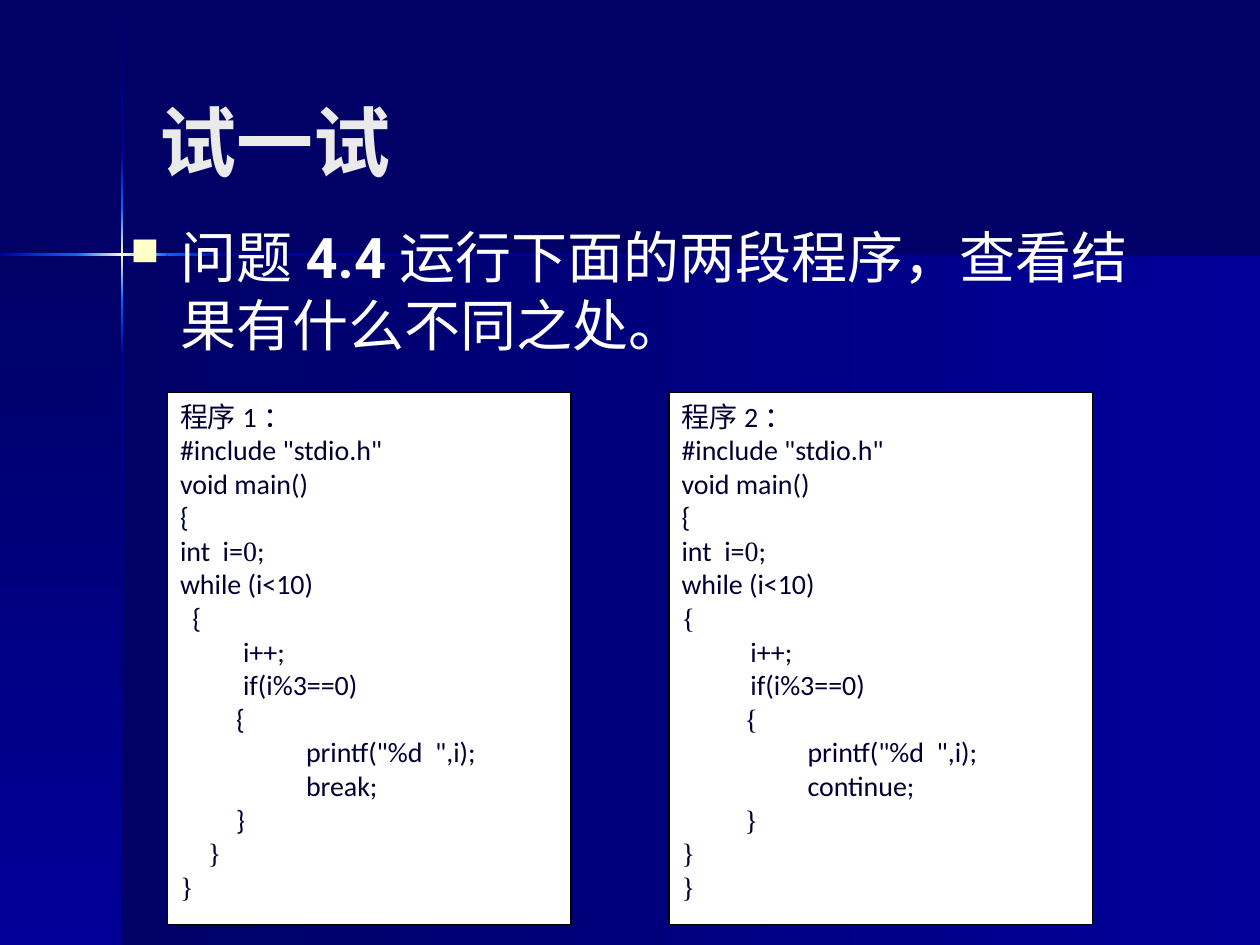
from copy import deepcopy

from lxml import etree
from pptx import Presentation, util as u
from pptx.dml.color import RGBColor
from pptx.enum import shapes, text
from pptx.oxml.ns import qn

Cm, Pt = u.Cm, u.Pt
W, H = 25.4, 19.05
C = {"night": "000066", "royal": "000099", "blue": "0066FF", "cream": "FFFFCC",
     "title": "EAEAEA", "white": "FFFFFF", "black": "000000", "code": "000033"}
SANS, SERIF = "Calibri", "Times New Roman"

# Content: a paragraph is (indent in cm, runs); a run is (text, format)
TITLE = [(0, [("试一试", {})])]
BODY = [(1, [("问题", {}), ("4.4", {"bold": True}),
             ("运行下面的两段程序，查看结果有什么不同之处。", {})])]


def code(indent, line, font=SANS):
    return indent, [(line, {"font": font})]


HEAD = [code(0, '#include "stdio.h"'), code(0, "void main()"), code(0, "{"),
        (0, [("int  i=", {}), ("0", {"font": SERIF}), (";", {})]),
        code(0, "while (i<10)")]
PRINT = code(2.54, 'printf("%d  ",i);')
PROGRAMS = [
    (3.38, 8.13, [code(0, "程序1：")] + HEAD + [
        code(0.25, "{"), code(1.27, "i++;"), code(1.27, "if(i%3==0)"),
        code(1.13, "{"), PRINT, code(2.54, "break;"), code(1.13, "}"),
        code(0.56, "}", SERIF), code(0, "}", SERIF)]),
    (13.49, 8.53, [code(0, "程序2：")] + HEAD + [
        code(0, "{", SERIF), code(1.39, "i++;"), code(1.39, "if(i%3==0)"),
        code(1.27, "{", SERIF), PRINT, code(2.54, "continue;"),
        code(1.27, "}", SERIF), code(0, "}", SERIF), code(0, "}", SERIF)]),
]

# Background: panels, then rays of light as (start, end, colours)
PANELS = [(2.46, 5.13, W - 2.46, H - 5.13, False),
          (0, 5.13, 2.46, H - 5.13, True)]
GLOW = ["blue", "cream", "blue"]
RAY_X, RAY_Y, RAY = 2.44, 5.11, 0.05
DOWN = [(0.03, 3.07, ["night", "royal"]), (7.16, H, ["royal", "night"]),
        (6.05, 7.16, ["blue", "royal"]), (3.07, 4.19, ["royal", "blue"]),
        (4.19, 6.05, GLOW)]
ACROSS = [(4.5, W, ["royal", "night"]), (0, 1.54, ["royal", "blue"]),
          (3.38, 4.5, ["blue", "royal"]), (1.53, 3.38, GLOW)]


def rgb(name):
    return RGBColor.from_string(C[name])


def add_rect(x, y, w, h):
    sp = slide.shapes.add_shape(shapes.MSO_SHAPE.RECTANGLE,
                                Cm(x), Cm(y), Cm(w), Cm(h))
    sp.shadow.inherit = False
    return sp


def add_gradient(x, y, w, h, colours, vertical):
    sp = add_rect(x, y, w, h)
    sp.line.fill.background()
    sp.fill.gradient()
    sp.fill.gradient_angle = 270 if vertical else 0
    stops = sp.fill.gradient_stops
    if len(colours) == 3:
        first = sp.element.spPr.find(".//" + qn("a:gs"))
        first.addnext(deepcopy(first))
        stops = sp.fill.gradient_stops
    for i, (stop, name) in enumerate(zip(stops, colours)):
        stop.position = i / (len(colours) - 1)
        stop.color.rgb = rgb(name)


def write(sp, paragraphs, size, color, font, bold=False, hanging=False,
          align=text.PP_ALIGN.LEFT, anchor=text.MSO_ANCHOR.TOP):
    tf = sp.text_frame
    tf.word_wrap = True
    tf.vertical_anchor = anchor
    for i, (indent, runs) in enumerate(paragraphs):
        p = tf.add_paragraph() if i else tf.paragraphs[0]
        p.alignment = align
        pPr = p._p.get_or_add_pPr()
        pPr.set("marL", str(Cm(indent)))
        pPr.set("indent", str(-Cm(indent) if hanging else 0))
        for line, fmt in runs:
            r = p.add_run()
            r.text = line
            r.font.size = Pt(size)
            r.font.name = fmt.get("font", font)
            r.font.bold = fmt.get("bold", bold)
            r.font.color.rgb = rgb(color)
    return tf


def add_bullet(p, char, color, percent):
    pPr = p._p.get_or_add_pPr()
    clr = etree.SubElement(pPr, qn("a:buClr"))
    etree.SubElement(clr, qn("a:srgbClr"), val=C[color])
    etree.SubElement(pPr, qn("a:buSzPct"), val=str(percent * 1000))
    etree.SubElement(pPr, qn("a:buChar"), char=char)


prs = Presentation()
prs.slide_width, prs.slide_height = Cm(W), Cm(H)
slide = prs.slides.add_slide(prs.slide_layouts[6])
slide.background.fill.solid()
slide.background.fill.fore_color.rgb = rgb("night")

# Background
for x, y, w, h, vertical in PANELS:
    add_gradient(x, y, w, h, ["night", "royal"], vertical)
for start, end, colours in DOWN:
    add_gradient(RAY_X, start, RAY, end - start, colours, True)
for start, end, colours in ACROSS:
    add_gradient(start, RAY_Y, end - start, RAY, colours, False)

# Title and question
sp = slide.shapes.add_textbox(Cm(2.97), Cm(0.84), Cm(20.95), Cm(3.99))
write(sp, TITLE, 44, "title", "Roboto", bold=True, anchor=text.MSO_ANCHOR.MIDDLE)
sp = slide.shapes.add_textbox(Cm(2.38), Cm(4.37), Cm(20.95), Cm(11.43))
tf = write(sp, BODY, 32, "white", "Roboto", hanging=True)
tf.paragraphs[0].space_before = Pt(6.4)
add_bullet(tf.paragraphs[0], "■", "cream", 70)

# Program listings
for x, w, lines in PROGRAMS:
    sp = add_rect(x, 7.92, w, 10.72)
    sp.fill.solid()
    sp.fill.fore_color.rgb = rgb("white")
    sp.line.color.rgb = rgb("black")
    sp.line.width = Pt(0.75)
    write(sp, lines, 16, "code", SANS, align=text.PP_ALIGN.JUSTIFY)

prs.save("out.pptx")
